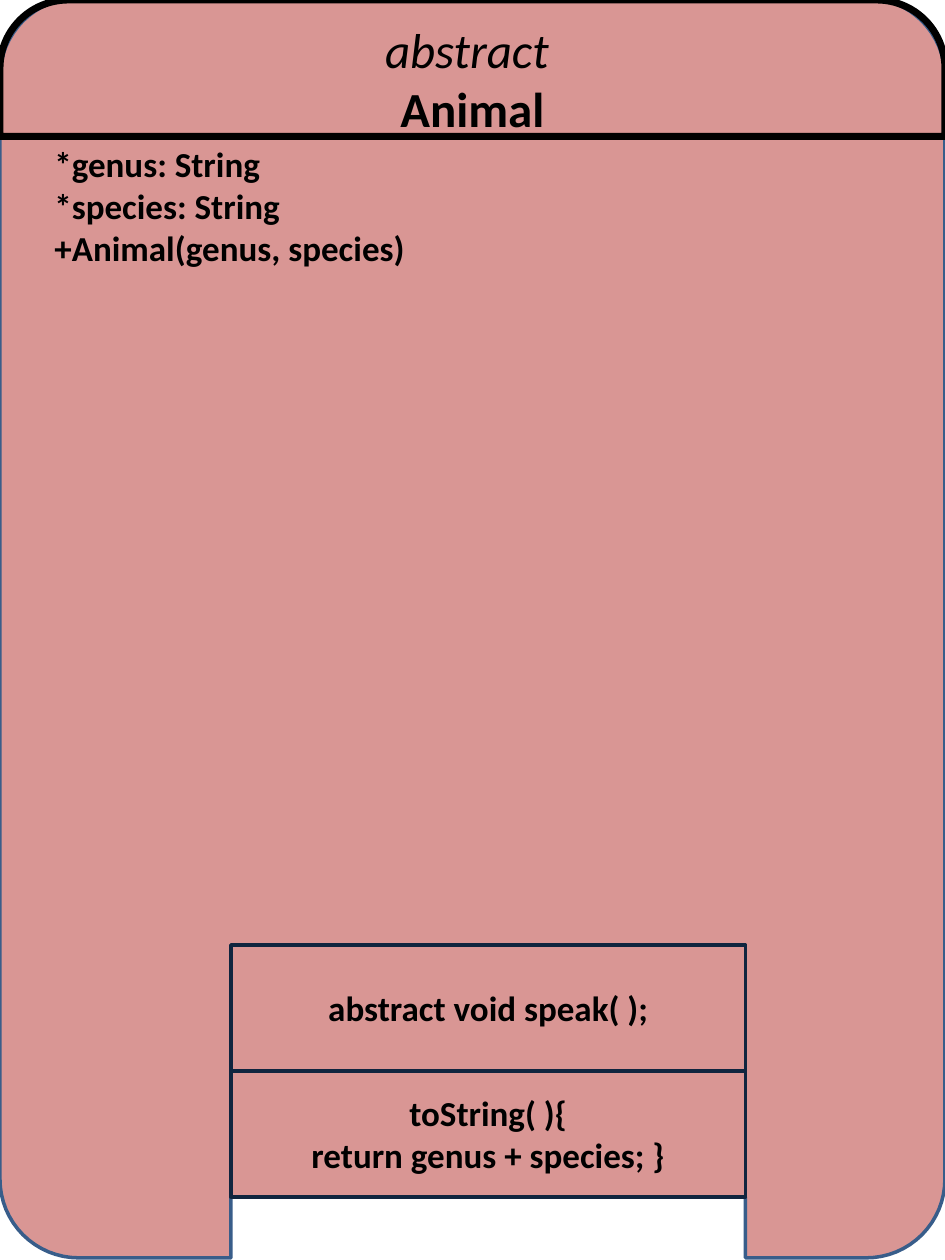
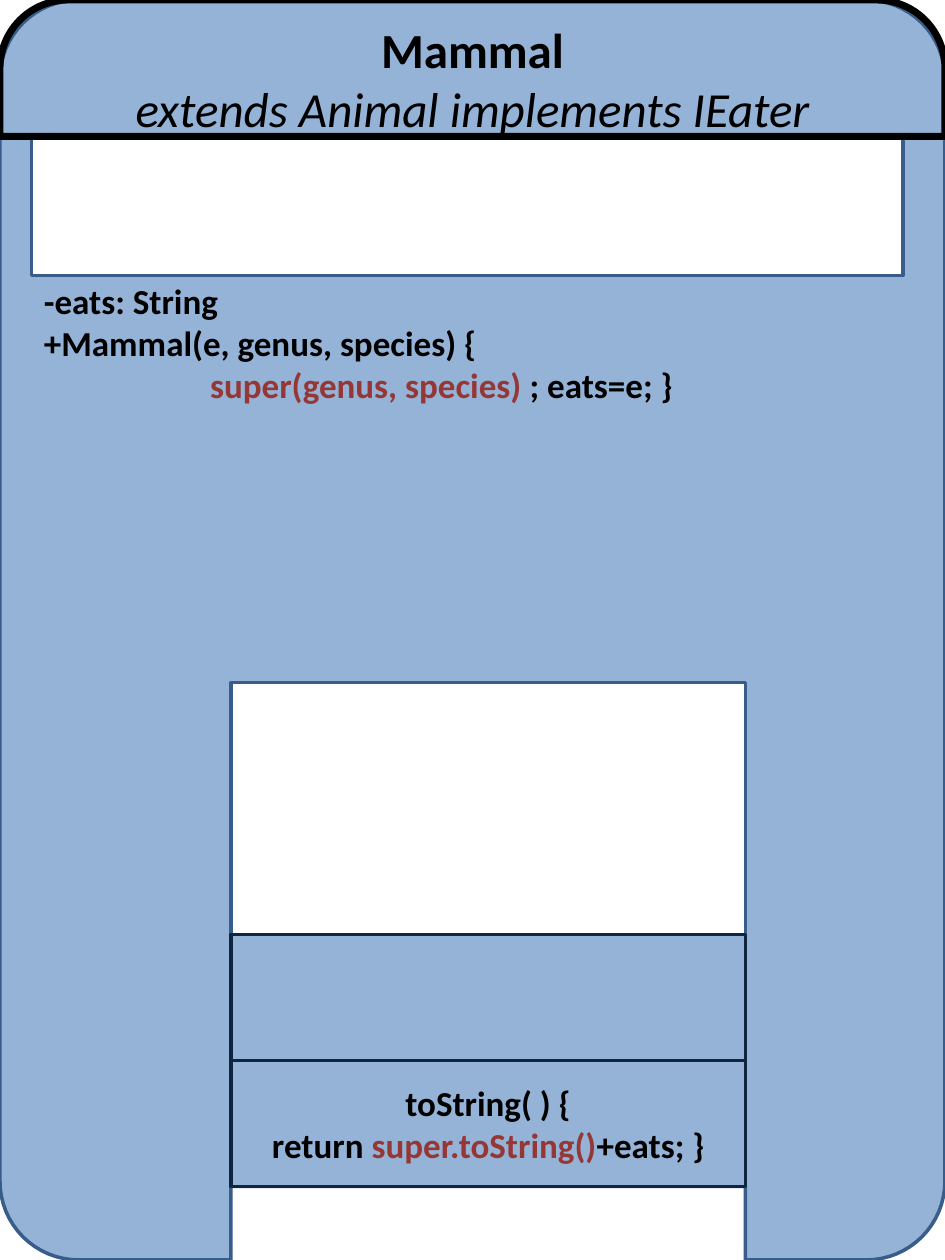
from math import cos, pi, sin

from pptx import Presentation
from pptx.dml.color import RGBColor
from pptx.enum.shapes import MSO_SHAPE
from pptx.enum.text import MSO_ANCHOR, MSO_AUTO_SIZE, PP_ALIGN
from pptx.util import Pt

# Shared look, lengths in points
WIDTH, HEIGHT = 540, 720
HEADER_HEIGHT = 78
CORNER = 45
CELL_LEFT, CELL_WIDTH, CELL_HEIGHT = 132, 294, 72
CELL_RIGHT = CELL_LEFT + CELL_WIDTH
FONT = "Calibri"
TITLE_SIZE, CODE_SIZE = 28, 20
BLACK, SUPER_RED = "000000", "953735"
BODY_LINE, CELL_LINE = "385D8A", "10253F"
PARENT_PINK, CHILD_BLUE = "D99694", "95B3D7"


def color(hex_string):
    return RGBColor.from_string(hex_string)


def style(shape, fill, line, line_width):
    shape.shadow.inherit = False
    if fill:
        shape.fill.solid()
        shape.fill.fore_color.rgb = color(fill)
    else:
        shape.fill.background()
    shape.line.color.rgb = color(line)
    shape.line.width = Pt(line_width)


def add_run(paragraph, text, size=CODE_SIZE, hex_string=BLACK, bold=True, italic=False):
    run = paragraph.add_run()
    run.text = text
    font = run.font
    font.name, font.size = FONT, Pt(size)
    font.bold, font.italic = bold, italic
    font.color.rgb = color(hex_string)


def add_centred_lines(shape, lines):
    """Each line is a list of (text, run options)."""
    frame = shape.text_frame
    frame.word_wrap = True
    frame.vertical_anchor = MSO_ANCHOR.MIDDLE
    paragraph = frame.paragraphs[0]
    paragraph.alignment = PP_ALIGN.CENTER
    for number, line in enumerate(lines):
        if number:
            paragraph.add_line_break()
        for text, options in line:
            add_run(paragraph, text, **options)


def corner_points(center_x, center_y, start_degrees, steps=16):
    """Quarter circle, clockwise on the slide."""
    angles = [start_degrees * pi / 180 + step * pi / 2 / steps for step in range(steps + 1)]
    return [(center_x + CORNER * cos(angle), center_y + CORNER * sin(angle)) for angle in angles]


def box_points(left, top, right, bottom):
    return [(left, top), (left, bottom), (right, bottom), (right, top)]


def add_class_body(slide, top, notch_top, fill, windows=()):
    """Rounded card with a notch in its lower edge and cut-out windows."""
    bottom = top + HEIGHT
    near, far = CORNER, WIDTH - CORNER
    outline = [
        *corner_points(far, top + CORNER, 270),
        *corner_points(far, bottom - CORNER, 0),
        (CELL_RIGHT, bottom), (CELL_RIGHT, notch_top),
        (CELL_LEFT, notch_top), (CELL_LEFT, bottom),
        *corner_points(near, bottom - CORNER, 90),
        *corner_points(near, top + CORNER, 180),
    ]
    contours = [[(Pt(x), Pt(y)) for x, y in points]
                for points in [outline, *(box_points(*window) for window in windows)]]
    builder = slide.shapes.build_freeform(*contours[0][0])
    builder.add_line_segments(contours[0][1:])
    for contour in contours[1:]:
        builder.move_to(*contour[0])
        builder.add_line_segments(contour[1:])
    style(builder.convert_to_shape(), fill, BODY_LINE, 2)


def add_header(slide, lines):
    header = slide.shapes.add_shape(
        MSO_SHAPE.ROUND_2_SAME_RECTANGLE, 0, 0, Pt(WIDTH), Pt(HEADER_HEIGHT))
    header.adjustments[0], header.adjustments[1] = 0.5, 0
    style(header, None, BLACK, 4)
    add_centred_lines(header, lines)


def add_method_cell(slide, top, lines=(), fill=None):
    cell = slide.shapes.add_shape(
        MSO_SHAPE.RECTANGLE, Pt(CELL_LEFT), Pt(top), Pt(CELL_WIDTH), Pt(CELL_HEIGHT))
    style(cell, fill, CELL_LINE, 2)
    add_centred_lines(cell, lines)


def add_members(slide, left, top, lines):
    """Each line is an indent and a list of (text, run options)."""
    box = slide.shapes.add_textbox(Pt(left), Pt(top), Pt(498), Pt(79.2))
    frame = box.text_frame
    frame.word_wrap = True
    frame.auto_size = MSO_AUTO_SIZE.SHAPE_TO_FIT_TEXT
    for number, (indent, runs) in enumerate(lines):
        paragraph = frame.add_paragraph() if number else frame.paragraphs[0]
        if indent:
            paragraph._p.get_or_add_pPr().set("marL", str(Pt(indent)))
        for text, options in runs:
            add_run(paragraph, text, **options)


def main():
    presentation = Presentation()
    presentation.slide_width, presentation.slide_height = Pt(WIDTH), Pt(HEIGHT)
    blank = presentation.slide_layouts[6]
    name = {"size": TITLE_SIZE}
    modifier = {"size": TITLE_SIZE, "bold": False, "italic": True}
    inherited = {"hex_string": SUPER_RED}

    # Animal: abstract parent class
    slide = presentation.slides.add_slide(blank)
    cells_bottom = 684
    add_class_body(slide, -1.2, cells_bottom, PARENT_PINK)
    add_method_cell(slide, cells_bottom - CELL_HEIGHT,
                    [[("toString( ){", {})], [("return genus + species; }", {})]])
    add_header(slide, [[("abstract ", modifier)], [("Animal", name)]])
    add_members(slide, 24, HEADER_HEIGHT, [
        (0, [("*genus: String", {})]),
        (0, [("*species: String", {})]),
        (0, [("+Animal(genus, species)", {})]),
    ])
    add_method_cell(slide, cells_bottom - 2 * CELL_HEIGHT, [[("abstract void speak( );", {})]])

    # Mammal: child class with windows onto its parent
    slide = presentation.slides.add_slide(blank)
    cells_bottom = 678
    cells_top = cells_bottom - 2 * CELL_HEIGHT
    add_class_body(slide, 0, cells_bottom, CHILD_BLUE, [
        (CELL_LEFT, cells_top - 2 * CELL_HEIGHT, CELL_RIGHT, cells_top),
        (18, HEADER_HEIGHT, 516, 157.5),
    ])
    add_method_cell(slide, cells_bottom - CELL_HEIGHT, [
        [("toString( ) {", {})],
        [("return ", {}), ("super.toString()", inherited), ("+eats; }", {})],
    ], CHILD_BLUE)
    add_header(slide, [[("Mammal", name)], [("extends Animal implements IEater", modifier)]])
    add_members(slide, 18, 156, [
        (0, [("-eats: String", {})]),
        (0, [("+Mammal(e, genus, species) {", {})]),
        (95, [("super(genus, species)", inherited), (" ; eats=e; }", {})]),
    ])
    add_method_cell(slide, cells_top)

    presentation.save("out.pptx")


if __name__ == "__main__":
    main()
